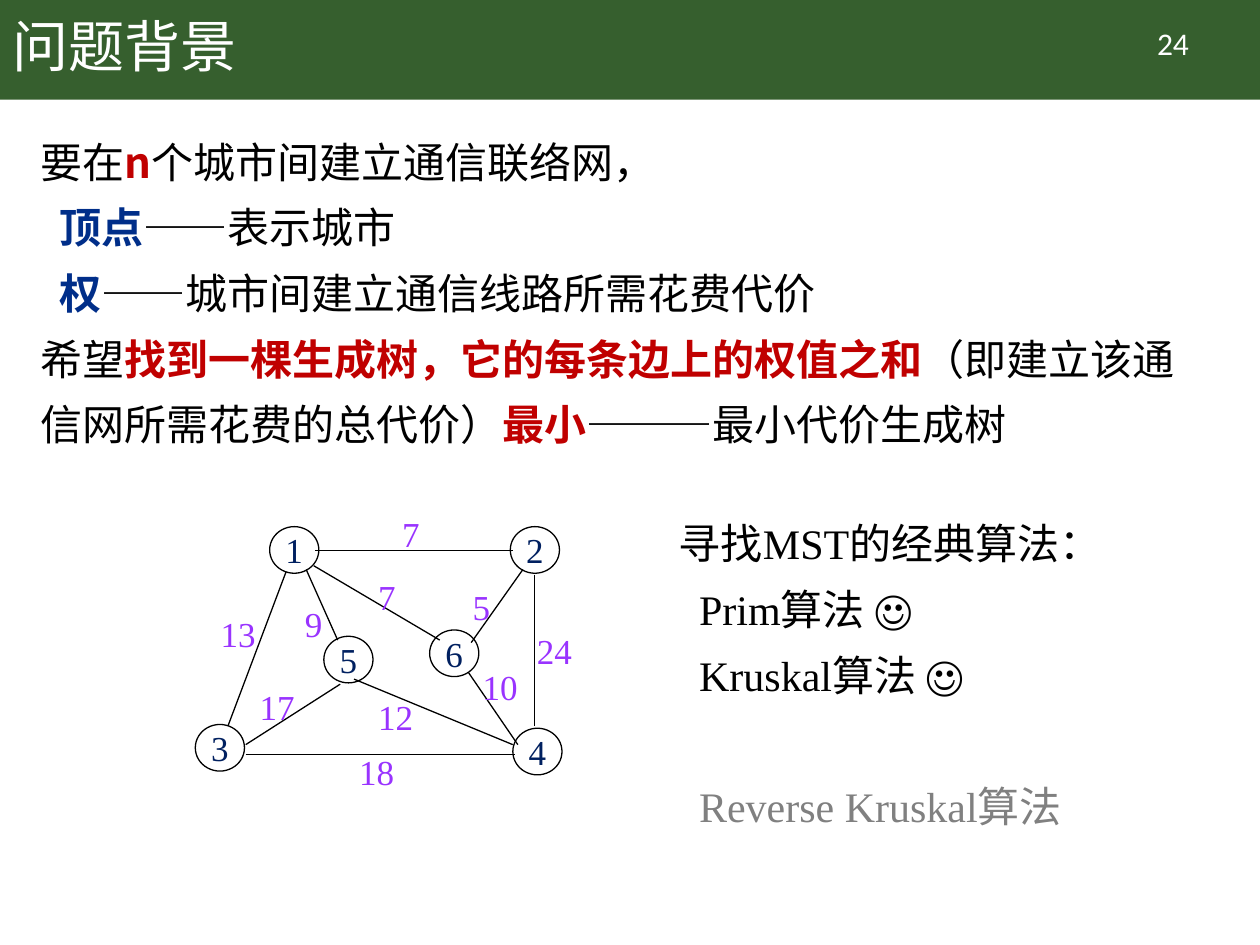
from lxml.etree import SubElement
from pptx import Presentation
from pptx.dml.color import RGBColor
from pptx.enum.shapes import MSO_CONNECTOR as CONN, MSO_SHAPE as SHAPE
from pptx.enum.text import MSO_ANCHOR as ANCHOR, PP_ALIGN as ALIGN
from pptx.oxml.ns import qn
from pptx.util import Inches, Pt

COLORS = {
    "band": "365F2E", "white": "FFFFFF", "black": "000000", "red": "C00000",
    "blue": "002E89", "node": "002060", "weight": "9933FF", "grey": "808080",
}
SANS, SERIF, NUMBER = "Noto Sans CJK SC", "Times New Roman", "Calibri"

NODES = {
    "1": (2.14, 4.18), "2": (4.05, 4.18), "3": (1.55, 5.75),
    "4": (4.07, 5.78), "5": (2.57, 5.05), "6": (3.41, 5),
}
EDGES = [
    (2.5, 4.37, 4.07, 4.37), (2.27, 4.54, 1.81, 5.76),
    (2.43, 4.52, 2.68, 5.08), (1.95, 5.99, 4.09, 5.99),
    (2.7, 5.43, 1.95, 5.91), (2.49, 4.49, 3.49, 5.08),
    (4.24, 4.56, 4.24, 5.76), (4.15, 4.52, 3.74, 5.1),
    (3.72, 5.34, 4.11, 5.91), (2.81, 5.39, 4.07, 5.91),
]
WEIGHTS = [
    ("7", 3.09, 4.02), ("13", 1.65, 4.81), ("17", 1.96, 5.39),
    ("9", 2.32, 4.73), ("18", 2.75, 5.91), ("12", 2.9, 5.47),
    ("7", 2.9, 4.52), ("5", 3.65, 4.6), ("24", 4.16, 4.95),
    ("10", 3.73, 5.23),
]
PROBLEM = [
    (0, [("要在", None), ("n", "red"), ("个城市间建立通信联络网，", None)]),
    (0.15, [("顶点", "blue"), ("——表示城市", None)]),
    (0.15, [("权", "blue"), ("——城市间建立通信线路所需花费代价", None)]),
    (0, [("希望", None), ("找到一棵生成树，它的每条边上的权值之和", "red"),
         ("（即建立该通信网所需花费的总代价）", None), ("最小", "red"),
         ("———最小代价生成树", None)]),
]
ALGORITHMS = [
    ("寻找MST的经典算法：", 0, "black", 0),
    ("Prim算法 ☺", 0.16, "black", 0),
    ("Kruskal算法 ☺", 0.16, "black", 0),
    ("Reverse Kruskal算法", 0.16, "grey", 37.5),
]


class SlideBuilder:
    """Draws styled elements on the current slide."""

    def __init__(self, s):
        self.s = s

    def color(self, name):
        return RGBColor.from_string(COLORS[name])

    def font(self, p, size, face, color):
        p.font.size = Pt(size)
        p.font.color.rgb = self.color(color)
        p.font.name = face
        rpr = p._p.pPr.find(qn("a:defRPr"))
        SubElement(rpr, qn("a:ea")).set("typeface", SANS)

    def band(self, x, y, w, h):
        sp = self.s.shapes.add_shape(
            SHAPE.RECTANGLE, Inches(x), Inches(y), Inches(w), Inches(h))
        sp.shadow.inherit = False
        sp.fill.solid()
        sp.fill.fore_color.rgb = self.color("band")
        sp.line.fill.background()

    def frame(self, x, y, w, h, wrap=True, anchor=ANCHOR.TOP):
        sp = self.s.shapes.add_textbox(
            Inches(x), Inches(y), Inches(w), Inches(h))
        tf = sp.text_frame
        tf.word_wrap = wrap
        tf.vertical_anchor = anchor
        return tf

    def label(self, text, box, size, face, color, align=ALIGN.CENTER, **opts):
        p = self.frame(*box, **opts).paragraphs[0]
        p.text = text
        p.alignment = align
        self.font(p, size, face, color)
        return p

    def paragraphs(self, box, lines, face):
        tf = self.frame(*box)
        tf.margin_top = Inches(0.08)
        for i, (runs, indent, color, before) in enumerate(lines):
            p = tf.add_paragraph() if i else tf.paragraphs[0]
            p._p.get_or_add_pPr().set("marL", str(Inches(indent)))
            p.line_spacing = Pt(37.5)
            if before:
                p.space_before = Pt(before)
            self.font(p, 24, face, color)
            for text, accent in runs:
                r = p.add_run()
                r.text = text
                if accent:
                    r.font.bold = True
                    r.font.color.rgb = self.color(accent)

    def node(self, text, x, y):
        sp = self.s.shapes.add_shape(
            SHAPE.OVAL, Inches(x), Inches(y), Inches(0.39), Inches(0.37))
        sp.shadow.inherit = False
        sp.fill.background()
        sp.line.color.rgb = self.color("black")
        sp.line.width = Pt(0.75)
        tf = sp.text_frame
        tf.word_wrap = False
        tf.vertical_anchor = ANCHOR.MIDDLE
        p = tf.paragraphs[0]
        p.text = text
        p.alignment = ALIGN.CENTER
        self.font(p, 20, SERIF, "node")

    def edge(self, *ends):
        line = self.s.shapes.add_connector(CONN.STRAIGHT, *map(Inches, ends))
        line.line.color.rgb = self.color("black")
        line.line.width = Pt(0.75)
        SubElement(line._element.spPr, qn("a:effectLst"))


def main():
    prs = Presentation()
    prs.slide_width, prs.slide_height = Inches(10), Inches(7.5)
    b = SlideBuilder(prs.slides.add_slide(prs.slide_layouts[6]))

    b.band(0, 0, 10, 0.79)
    title = b.label("问题背景", (0, 0, 8.62, 0.79), 32, SANS, "white",
                    align=ALIGN.LEFT, anchor=ANCHOR.MIDDLE)
    title.line_spacing = 0.9
    b.paragraphs((0.22, 0.88, 9.39, 6.47),
                 [(runs, indent, "black", 0) for indent, runs in PROBLEM], SANS)
    b.label("24", (8.71, 0.14, 1.2, 0.4), 18, NUMBER, "white")

    for name, place in NODES.items():
        b.node(name, *place)
    for ends in EDGES:
        b.edge(*ends)
    for text, x, y in WEIGHTS:
        width = 0.2 + 0.14 * len(text)
        b.label(text, (x, y, width, 0.43), 20, SERIF, "weight",
                wrap=False, anchor=ANCHOR.MIDDLE)

    b.paragraphs((5.29, 3.91, 3.71, 2.67),
                 [([(text, None)], *style) for text, *style in ALGORITHMS], SERIF)
    prs.save("out.pptx")


if __name__ == "__main__":
    main()
